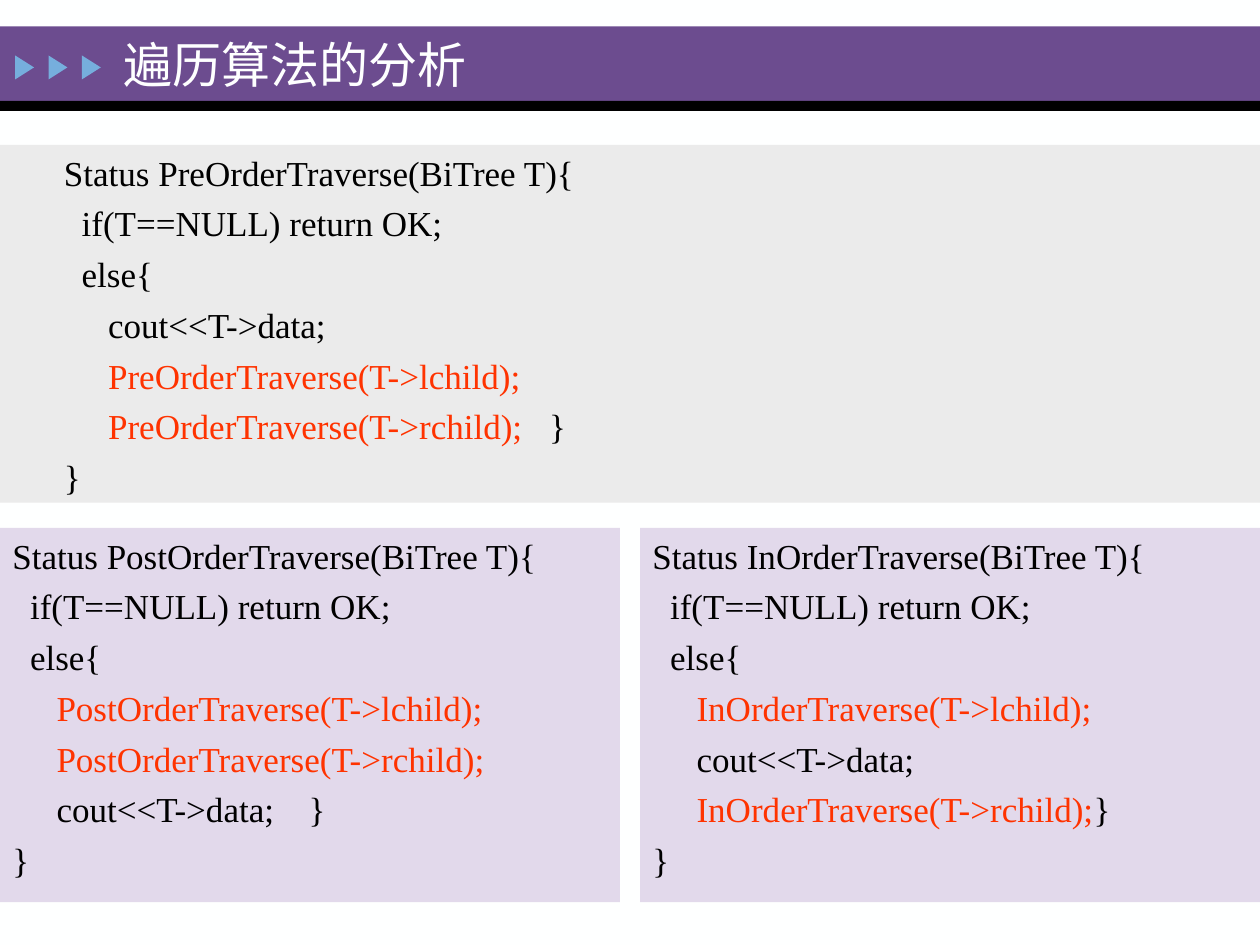
from dataclasses import dataclass

from lxml import etree
from pptx import Presentation
from pptx.dml.color import RGBColor
from pptx.enum.shapes import MSO_SHAPE
from pptx.enum.text import MSO_ANCHOR, PP_ALIGN
from pptx.oxml.ns import qn
from pptx.util import Inches, Pt

RECT, TRIANGLE = MSO_SHAPE.RECTANGLE, MSO_SHAPE.ISOSCELES_TRIANGLE
TOP, MIDDLE = MSO_ANCHOR.TOP, MSO_ANCHOR.MIDDLE
LEFT = PP_ALIGN.LEFT


@dataclass(frozen=True)
class Theme:
    font: str = "Times New Roman"
    title_size: int = 28
    code_size: int = 20
    line_gap: int = 5
    paper: str = "FEFFFF"
    banner: str = "6C4C8F"
    ink: str = "000000"
    arrow: str = "76AEDD"
    recursion: str = "FF3300"
    main_panel: str = "EBEBEB"
    side_panel: str = "E2D9EB"


@dataclass(frozen=True)
class Line:
    text: str
    spaces: int = 0
    recursive: bool = False
    closing: str = ""
    closing_at: float = 0


@dataclass(frozen=True)
class Panel:
    box: tuple[float, float, float, float]
    fill: str
    margin: float
    lines: list[Line]


THEME = Theme()
SPACE_WIDTH = 0.07


def opening(name: str) -> list[Line]:
    return [Line(f"Status {name}(BiTree T){{"),
            Line("if(T==NULL) return OK;", 2),
            Line("else{", 2)]


def call(name: str, child: str, closing: str = "", closing_at: float = 0) -> Line:
    return Line(f"{name}(T->{child});", 5, True, closing, closing_at)


PRE, POST, IN = "PreOrderTraverse", "PostOrderTraverse", "InOrderTraverse"
VISIT = Line("cout<<T->data;", 5)
END = Line("}")
SIDE_TOP, SIDE_W, SIDE_H = 4.19, 4.92, 2.97
PANELS = [
    Panel((0, 1.15, 10, 2.84), THEME.main_panel, 0.41,
          opening(PRE) + [VISIT, call(PRE, "lchild"),
                          call(PRE, "rchild", "\t}", 4.4), END]),
    Panel((0, SIDE_TOP, SIDE_W, SIDE_H), THEME.side_panel, 0,
          opening(POST) + [call(POST, "lchild"), call(POST, "rchild"),
                           Line(VISIT.text, 5, False, "\t}", 2.35), END]),
    Panel((10 - SIDE_W, SIDE_TOP, SIDE_W, SIDE_H), THEME.side_panel, 0,
          opening(IN) + [call(IN, "lchild"), VISIT,
                         call(IN, "rchild", "}"), END]),
]


def add_block(slide, kind, x: float, y: float, w: float, h: float, fill: str):
    s = slide.shapes.add_shape(kind, Inches(x), Inches(y), Inches(w), Inches(h))
    s.shadow.inherit = False
    s.fill.solid()
    s.fill.fore_color.rgb = RGBColor.from_string(fill)
    s.line.fill.background()
    return s


def add_text(p, text: str, *, size: int, color: str) -> None:
    r = p.add_run()
    r.text = text
    r.font.name = THEME.font
    r.font.size = Pt(size)
    r.font.color.rgb = RGBColor.from_string(color)


def set_indent(p, margin: float, tab: float) -> None:
    """Set the left margin and, when given, one tab stop measured from the text edge."""
    p_pr = p._p.get_or_add_pPr()
    p_pr.set("marL", str(Inches(margin)))
    p_pr.set("indent", "0")
    if tab:
        tabs = etree.SubElement(p_pr, qn("a:tabLst"))
        etree.SubElement(tabs, qn("a:tab"), pos=str(Inches(tab)), algn="l")


def add_panel(slide, panel: Panel) -> None:
    tf = add_block(slide, RECT, *panel.box, panel.fill).text_frame
    tf.word_wrap = True
    tf.vertical_anchor = TOP
    for i, line in enumerate(panel.lines):
        p = tf.add_paragraph() if i else tf.paragraphs[0]
        p.alignment = LEFT
        p.space_before = Pt(THEME.line_gap)
        set_indent(p, panel.margin + line.spaces * SPACE_WIDTH, line.closing_at)
        color = THEME.recursion if line.recursive else THEME.ink
        add_text(p, line.text, size=THEME.code_size, color=color)
        if line.closing:
            add_text(p, line.closing, size=THEME.code_size, color=THEME.ink)


def add_banner(slide) -> None:
    add_block(slide, RECT, 0, 0.21, 10, 0.59, THEME.banner)
    add_block(slide, RECT, 0, 0.8, 10, 0.08, THEME.ink)
    for i in range(3):
        arrow = add_block(slide, TRIANGLE, 0.1 + i * 0.265, 0.46, 0.19, 0.15, THEME.arrow)
        arrow.rotation = 90


def set_title(slide, text: str) -> None:
    title = slide.shapes.title
    title.left, title.top = Inches(0.88), Inches(0.23)
    title.width, title.height = Inches(4.04), Inches(0.56)
    tf = title.text_frame
    tf.word_wrap = True
    tf.vertical_anchor = MIDDLE
    p = tf.paragraphs[0]
    p.alignment = LEFT
    add_text(p, text, size=THEME.title_size, color=THEME.paper)
    slide.shapes._spTree.append(title._element)  # bring in front of the banner


def main() -> None:
    prs = Presentation()
    prs.slide_width, prs.slide_height = Inches(10), Inches(7.5)
    slide = prs.slides.add_slide(prs.slide_layouts[5])
    slide.background.fill.solid()
    slide.background.fill.fore_color.rgb = RGBColor.from_string(THEME.paper)
    add_banner(slide)
    for panel in PANELS:
        add_panel(slide, panel)
    set_title(slide, "遍历算法的分析")
    prs.save("out.pptx")


if __name__ == "__main__":
    main()
